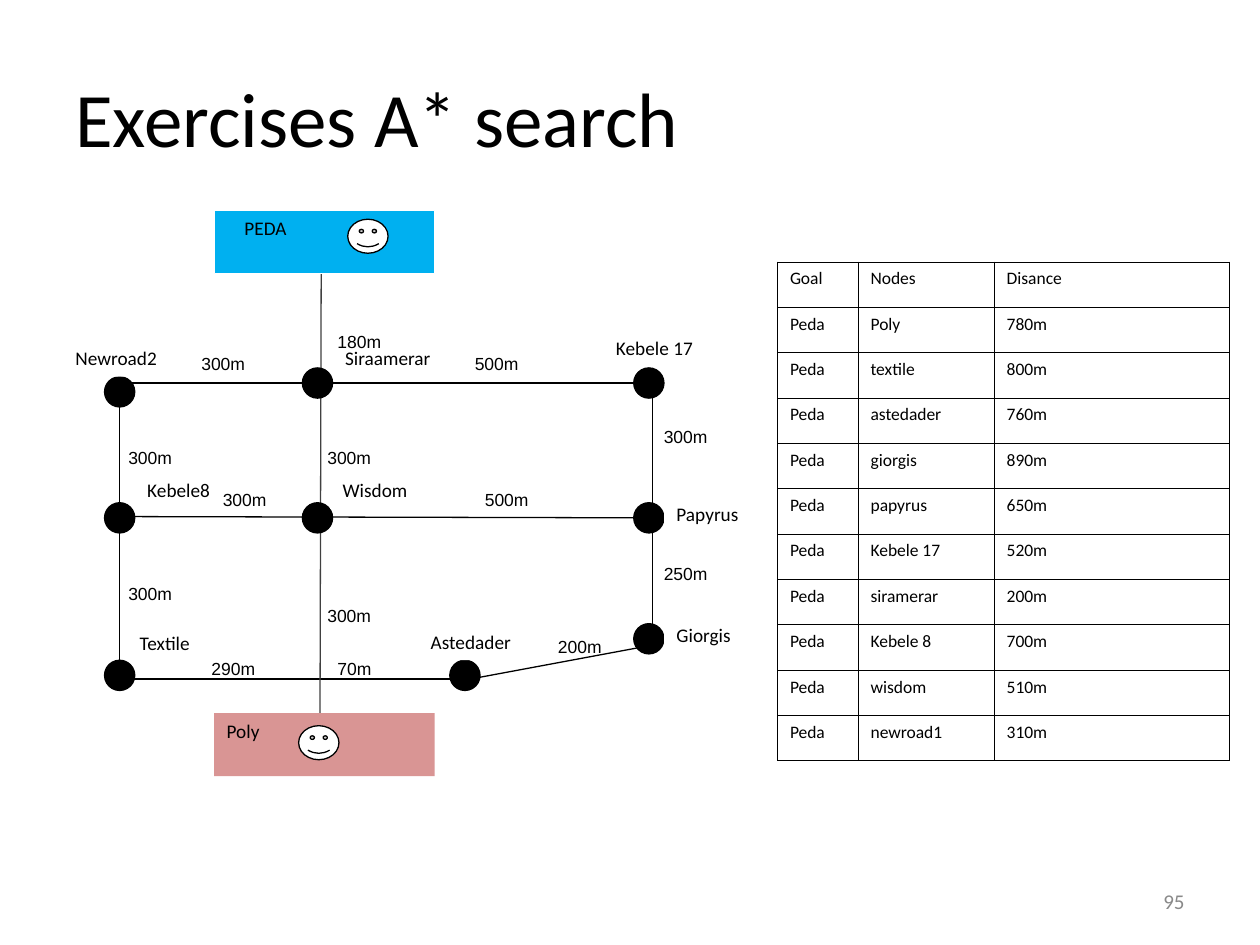
from lxml import etree
from pptx import Presentation
from pptx.dml.color import RGBColor
from pptx.enum.shapes import MSO_CONNECTOR, MSO_SHAPE
from pptx.enum.text import MSO_ANCHOR, PP_ALIGN
from pptx.oxml.ns import qn
from pptx.util import Inches, Pt

BLACK = RGBColor(0x00, 0x00, 0x00)
WHITE = RGBColor(0xFF, 0xFF, 0xFF)
DARK_GRAY = RGBColor(0x40, 0x40, 0x40)
GRAY = RGBColor(0x89, 0x89, 0x89)
BLUE = RGBColor(0x00, 0xB0, 0xF0)
PINK = RGBColor(0xD9, 0x95, 0x94)

NODE_SIZE = 0.24
LABEL_H = 0.29

# Roads between places: x1, y1, x2, y2
ROADS = [
    (5.18, 3.04, 0.95, 3.04), (0.95, 5.39, 3.73, 5.39),
    (0.95, 5.39, 0.95, 4.1), (0.95, 4.1, 5.18, 4.11),
    (3.73, 5.39, 5.18, 5.12), (5.18, 4.96, 5.18, 3.04),
    (0.95, 3.04, 0.95, 4.28),
]

# Place: name, node left and top, label left, top and width, label outline
PLACES = [
    ("Newroad2", 0.83, 2.99, 0.5, 2.7, 0.94, None),
    ("Kebele8", 0.83, 3.99, 1.07, 3.75, 0.82, None),
    ("Textile", 0.83, 5.24, 1.01, 4.96, 0.82, None),
    ("Siraamerar", 2.4, 2.92, 2.64, 2.7, 0.99, WHITE),
    ("Wisdom", 2.4, 3.99, 2.62, 3.75, 0.82, None),
    ("Astedader", 3.57, 5.24, 3.32, 4.95, 0.94, None),
    ("Kebele 17", 5.03, 2.92, 4.79, 2.62, 0.82, WHITE),
    ("Papyrus", 5.03, 3.99, 5.27, 3.94, 0.82, None),
    ("Giorgis", 5.03, 4.95, 5.27, 4.9, 0.82, None),
]

# Road lengths: text, left, top
LENGTHS = [
    ("300m", 0.92, 4.58), ("180m", 2.58, 2.58), ("300m", 0.92, 3.5),
    ("300m", 2.5, 4.75), ("300m", 5.17, 3.33), ("500m", 3.67, 2.75),
    ("300m", 1.5, 2.75), ("500m", 3.75, 3.83), ("70m", 2.58, 5.17),
    ("290m", 1.58, 5.17), ("200m", 4.33, 5), ("250m", 5.17, 4.42),
    ("300m", 2.5, 3.5), ("300m", 1.67, 3.83),
]

COLUMN_WIDTHS = [0.64, 1.08, 1.87]
ROW_H = 0.36
DISTANCES = [
    ("Poly", "780m"), ("textile", "800m"), ("astedader", "760m"),
    ("giorgis", "890m"), ("papyrus", "650m"), ("Kebele 17", "520m"),
    ("siramerar", "200m"), ("Kebele 8", "700m"), ("wisdom", "510m"),
    ("newroad1", "310m"),
]


def set_text(tf, text, size, font="Calibri", color=BLACK, align=PP_ALIGN.LEFT):
    tf.text = text
    p = tf.paragraphs[0]
    p.alignment = align
    f = p.runs[0].font
    f.size, f.name, f.color.rgb = Pt(size), font, color


def add_text(slide, text, x, y, w, h, size, anchor=MSO_ANCHOR.TOP, **style):
    tf = slide.shapes.add_textbox(*map(Inches, (x, y, w, h))).text_frame
    tf.word_wrap = True
    tf.vertical_anchor = anchor
    set_text(tf, text, size, **style)


def add_shape(slide, kind, x, y, w, h, fill, line=None):
    s = slide.shapes.add_shape(kind, *map(Inches, (x, y, w, h)))
    s.shadow.inherit = False
    s.fill.solid()
    s.fill.fore_color.rgb = fill
    if line is None:
        s.line.fill.background()
    else:
        s.line.color.rgb = line
        s.line.width = Pt(0.75)
    return s


def add_label(slide, text, x, y, w, h, fill=WHITE, line=None, indent=0.1):
    s = add_shape(slide, MSO_SHAPE.RECTANGLE, x, y, w, h, fill, line)
    tf = s.text_frame
    tf.word_wrap = True
    tf.vertical_anchor = MSO_ANCHOR.TOP
    tf.margin_left = Inches(indent)
    set_text(tf, text, 11)
    tf.paragraphs[0].space_after = Pt(10)


def add_smiley(slide, x, y):
    s = add_shape(slide, MSO_SHAPE.SMILEY_FACE, x, y, 0.32, 0.27, WHITE, BLACK)
    s.adjustments[0] = 0.09


def add_road(slide, x1, y1, x2, y2, color=BLACK, arrow=False):
    c = slide.shapes.add_connector(
        MSO_CONNECTOR.STRAIGHT, *map(Inches, (x1, y1, x2, y2)))
    c.line.color.rgb = color
    c.line.width = Pt(0.75)
    if arrow:
        etree.SubElement(c.line._get_or_add_ln(), qn("a:tailEnd"), type="triangle")
    etree.SubElement(c._element.spPr, qn("a:effectLst"))


def set_borders(cell):
    tcPr = cell._tc.get_or_add_tcPr()
    for i, side in enumerate(("a:lnL", "a:lnR", "a:lnT", "a:lnB")):
        ln = etree.Element(qn(side), w=str(Pt(0.45)))
        fill = etree.SubElement(ln, qn("a:solidFill"))
        etree.SubElement(fill, qn("a:srgbClr"), val=str(BLACK))
        tcPr.insert(i, ln)


def add_distance_table(slide, x, y):
    rows = [("Goal", "Nodes", "Disance")] + [("Peda", *d) for d in DISTANCES]
    table = slide.shapes.add_table(
        len(rows), len(COLUMN_WIDTHS), Inches(x), Inches(y),
        Inches(sum(COLUMN_WIDTHS)), Inches(ROW_H * len(rows))).table
    table.first_row = table.horz_banding = False
    for column, width in zip(table.columns, COLUMN_WIDTHS):
        column.width = Inches(width)
    for r, values in enumerate(rows):
        table.rows[r].height = Inches(ROW_H)
        for c, value in enumerate(values):
            cell = table.cell(r, c)
            cell.fill.background()
            set_text(cell.text_frame, value, 10)
            set_borders(cell)


def main():
    prs = Presentation()
    prs.slide_width, prs.slide_height = Inches(10), Inches(7.5)
    slide = prs.slides.add_slide(prs.slide_layouts[6])

    add_text(slide, "Exercises A* search", 0.5, 0.3, 9, 1.25, 44,
             anchor=MSO_ANCHOR.MIDDLE)

    # Roads, with the main road running up from Poly to PEDA
    for road in ROADS:
        add_road(slide, *road)
    add_road(slide, 2.54, 5.66, 2.55, 1.9, DARK_GRAY, arrow=True)

    # Start and goal
    add_label(slide, "Poly", 1.7, 5.66, 1.75, 0.5, PINK)
    add_label(slide, "PEDA", 1.7, 1.67, 1.75, 0.5, BLUE, WHITE, indent=0.24)
    add_smiley(slide, 2.37, 5.76)
    add_smiley(slide, 2.76, 1.74)

    # Places: all nodes first, then their labels
    for _, x, y, *_ in PLACES:
        add_shape(slide, MSO_SHAPE.OVAL, x, y, NODE_SIZE, NODE_SIZE, BLACK, BLACK)
    for name, _, _, x, y, w, line in PLACES:
        add_label(slide, name, x, y, w, LABEL_H, line=line)

    # Distances
    add_distance_table(slide, 6.17, 2.08)
    for text, x, y in LENGTHS:
        add_text(slide, text, x, y, 0.67, 0.27, 10, font="Arial")

    # Slide number
    add_text(slide, "95", 7.17, 6.95, 2.33, 0.4, 12, anchor=MSO_ANCHOR.MIDDLE,
             color=GRAY, align=PP_ALIGN.RIGHT)

    prs.save("out.pptx")


if __name__ == "__main__":
    main()
